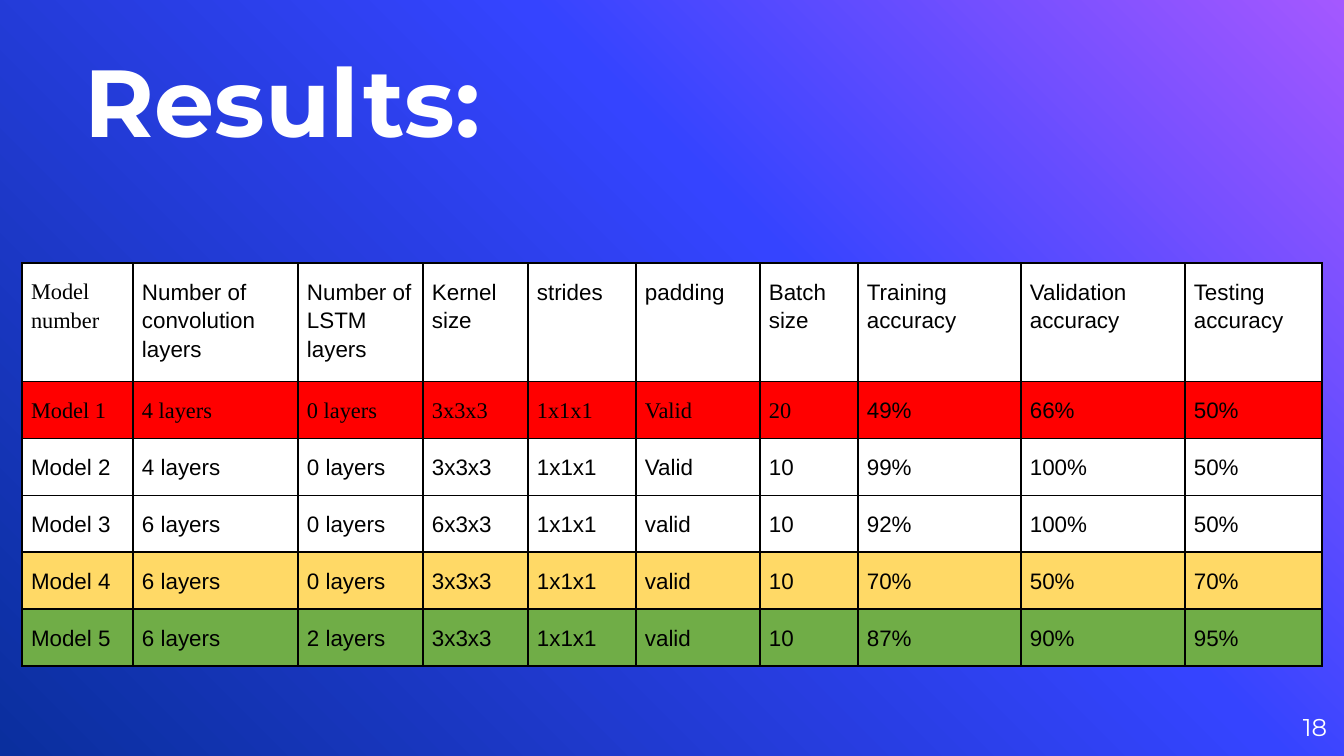
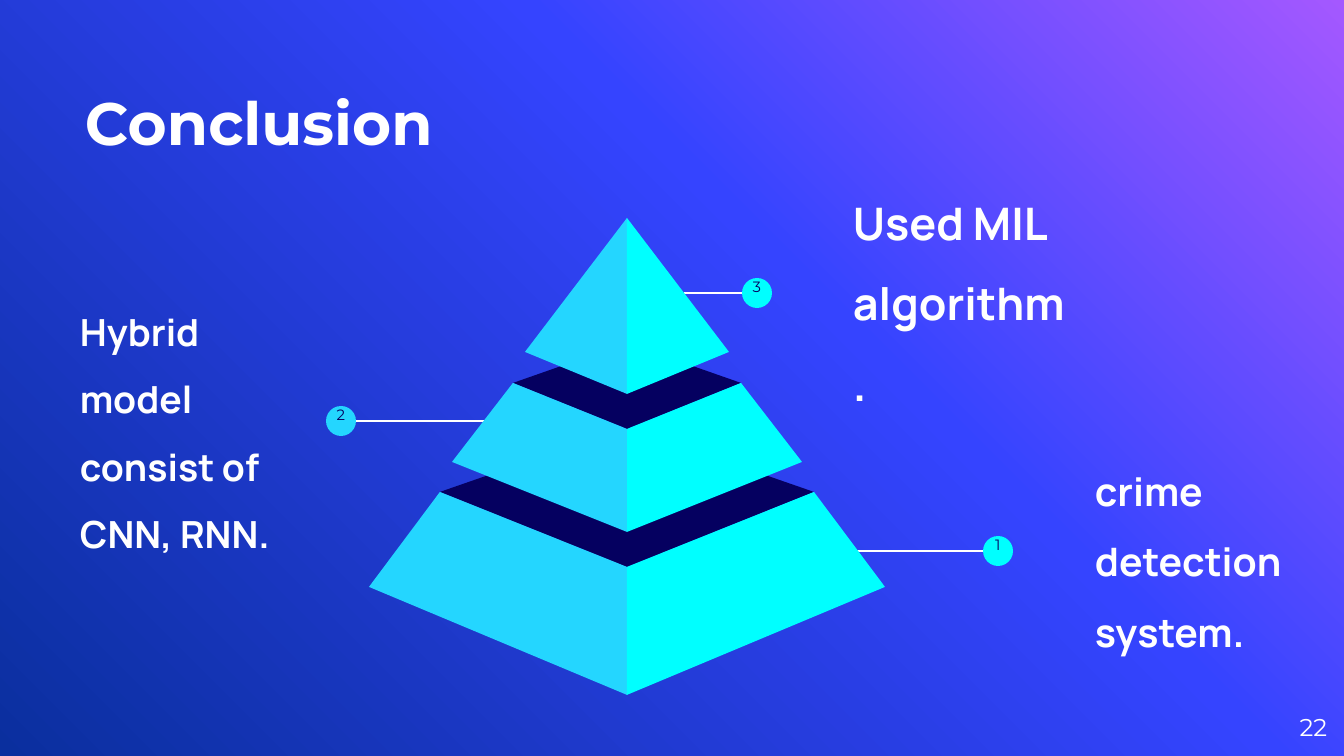
import copy

import lxml.etree
import pptx
import pptx.dml.color
import pptx.enum.shapes
import pptx.enum.text
import pptx.oxml.ns
import pptx.util

PX = 914400 / 134.4
WIDTH, HEIGHT = 1344, 756

WHITE, BLACK, NAVY = "FFFFFF", "000000", "050060"
SKY, CYAN = "24D6FF", "00FFFF"
RED, YELLOW, GREEN = "FF0000", "FFD966", "70AD47"
BACKDROP = [(0, "A458FF"), (0.39, "3544FF"), (1, "0A2F9E")]

HEADING, BODY, SANS, SERIF = "Montserrat", "Manrope", "Arial", "Times New Roman"
ALIGN = pptx.enum.text.PP_ALIGN
ANCHOR = pptx.enum.text.MSO_ANCHOR
SHAPE = pptx.enum.shapes.MSO_SHAPE
qn = pptx.oxml.ns.qn

DOT = 30

COLUMNS = [111, 165, 125, 105, 108, 124, 98, 163, 164, 137]
ROW_HEIGHTS = [105] + [54] * 5
HEADERS = ["Model number", "Number of convolution layers", "Number of LSTM layers",
           "Kernel size", "strides", "padding", "Batch size",
           "Training accuracy", "Validation accuracy", "Testing accuracy"]
# Fill, number of leading serif cells, cell texts
RESULTS = [
    (WHITE, 1, HEADERS),
    (RED, 7, ["Model 1", "4 layers", "0 layers", "3x3x3", "1x1x1", "Valid", "20",
              "49%", "66%", "50%"]),
    (WHITE, 0, ["Model 2", "4 layers", "0 layers", "3x3x3", "1x1x1", "Valid", "10",
                "99%", "100%", "50%"]),
    (WHITE, 0, ["Model 3", "6 layers", "0 layers", "6x3x3", "1x1x1", "valid", "10",
                "92%", "100%", "50%"]),
    (YELLOW, 0, ["Model 4", "6 layers", "0 layers", "3x3x3", "1x1x1", "valid", "10",
                 "70%", "50%", "70%"]),
    (GREEN, 0, ["Model 5", "6 layers", "2 layers", "3x3x3", "1x1x1", "valid", "10",
                "87%", "90%", "95%"]),
]

# Back corner of the lid, then the right face from the centre line outwards
TIERS = [
    (209, [(0, 349), (187, 274), (258, 369), (0, 477)]),
    (125, [(0, 211), (114, 165), (175, 244), (0, 314)]),
    (None, [(0, 0), (102, 134), (0, 176)]),
]


def px(n):
    return pptx.util.Emu(round(n * PX))


def rgb(color):
    return pptx.dml.color.RGBColor.from_string(color)


def paint(sp, color):
    sp.shadow.inherit = False
    sp.fill.solid()
    sp.fill.fore_color.rgb = rgb(color)
    sp.line.fill.background()


def set_margins(target, across, down):
    target.margin_left = target.margin_right = px(across)
    target.margin_top = target.margin_bottom = px(down)


def write(tf, text, size=12, font=HEADING, color=WHITE, bold=False, align=None,
          spacing=None, after=None, indent=0):
    p = tf.paragraphs[0]
    if indent:
        pPr = p._p.get_or_add_pPr()
        pPr.set("marL", str(px(indent)))
        pPr.set("indent", "0")
    p.alignment = align
    p.line_spacing = spacing
    if after:
        p.space_after = pptx.util.Pt(after)
    r = p.add_run()
    r.text = text
    r.font.size = pptx.util.Pt(size)
    r.font.name = font
    r.font.bold = bold
    r.font.color.rgb = rgb(color)


def add_text(s, x, y, w, h, text, anchor=ANCHOR.TOP, inset=0, **fmt):
    tf = s.shapes.add_textbox(px(x), px(y), px(w), px(h)).text_frame
    tf.word_wrap = True
    tf.vertical_anchor = anchor
    set_margins(tf, inset, inset)
    write(tf, text, **fmt)


def add_line(s, x1, x2, y):
    line = s.shapes.add_connector(pptx.enum.shapes.MSO_CONNECTOR.STRAIGHT,
                                  px(x1), px(y), px(x2), px(y))
    line.line.color.rgb = rgb(WHITE)
    line.line.width = pptx.util.Pt(0.75)
    lxml.etree.SubElement(line._element.spPr, qn("a:effectLst"))


def add_slide(prs, title, title_size, title_width, number):
    s = prs.slides.add_slide(prs.slide_layouts[6])
    # Diagonal three-colour background
    fill = s.background.fill
    fill.gradient()
    fill.gradient_angle = 225
    stop_list = s.element.find(".//" + qn("a:gsLst"))
    stop_list.append(copy.deepcopy(stop_list[-1]))
    for stop, (position, color) in zip(fill.gradient_stops, BACKDROP):
        stop.position = position
        stop.color.rgb = rgb(color)
    # Title and page number
    add_text(s, 85, 31, title_width, 126, title, anchor=ANCHOR.BOTTOM,
             size=title_size, bold=True)
    add_text(s, 1246, 698, 81, 58, number, anchor=ANCHOR.MIDDLE,
             size=13, align=ALIGN.RIGHT)
    return s


def add_borders(cell):
    tcPr = cell._tc.get_or_add_tcPr()
    for side in ("lnL", "lnR", "lnT", "lnB"):
        ln = lxml.etree.SubElement(tcPr, qn("a:" + side), w=str(pptx.util.Pt(1)))
        solid = lxml.etree.SubElement(ln, qn("a:solidFill"))
        lxml.etree.SubElement(solid, qn("a:srgbClr"), val=BLACK)


def add_results_table(s, x, y):
    table = s.shapes.add_table(len(RESULTS), len(COLUMNS), px(x), px(y),
                               px(sum(COLUMNS)), px(sum(ROW_HEIGHTS))).table
    table.first_row = table.horz_banding = False
    for column, width in zip(table.columns, COLUMNS):
        column.width = px(width)
    for row, height, (fill, serif_count, texts) in zip(table.rows, ROW_HEIGHTS, RESULTS):
        row.height = px(height)
        for i, (cell, text) in enumerate(zip(row.cells, texts)):
            add_borders(cell)
            cell.fill.solid()
            cell.fill.fore_color.rgb = rgb(fill)
            set_margins(cell, 9, 13)
            write(cell.text_frame, text, font=SERIF if i < serif_count else SANS,
                  color=BLACK, spacing=1.15)


def add_callout(s, x, y, w, number, text, size, dot_dx, dot_dy, reach, color):
    """Text, a numbered dot beside it, and a line to the pyramid at x = reach."""
    dot_x, dot_y = x + dot_dx, y + dot_dy
    far_edge = dot_x + DOT if reach < dot_x else dot_x
    add_line(s, reach, far_edge, dot_y + DOT / 2)
    add_text(s, x, y, w, 203, text, anchor=ANCHOR.MIDDLE, inset=13, size=size,
             font=BODY, bold=True, spacing=1.5, indent=67)
    paint(s.shapes.add_shape(SHAPE.OVAL, px(dot_x), px(dot_y), px(DOT), px(DOT)), color)
    add_text(s, dot_x - 3, dot_y - 9, DOT + 6, 46, number, inset=13, size=8,
             color=NAVY, align=ALIGN.CENTER, after=16)


def add_polygon(s, x, y, points, color):
    builder = s.shapes.build_freeform(*points[0], scale=PX)
    builder.add_line_segments(points[1:], close=True)
    paint(builder.convert_to_shape(px(x), px(y)), color)


def add_pyramid(s, center, top):
    for back, face in TIERS:
        mirrored = [(-x, y) for x, y in face]
        if back is not None:
            add_polygon(s, center, top, [face[0], face[1], (0, back), mirrored[1]], NAVY)
        add_polygon(s, center, top, mirrored, SKY)
        add_polygon(s, center, top, face, CYAN)


def results_slide(prs):
    s = add_slide(prs, "Results:", 51, 1175, "18")
    add_results_table(s, 22, 263)


def conclusion_slide(prs):
    s = add_slide(prs, "Conclusion", 32, 884, "22")
    add_callout(s, 773, 188, 316, "3", "Used MIL algorithm.", 24, -31, 90, 684, CYAN)
    add_callout(s, 0, 320, 323, "2", "Hybrid model consist of CNN, RNN.", 20,
                326, 86, 489, SKY)
    add_callout(s, 1015, 448, 316, "1", "crime detection system.", 21,
                -32, 88, 759, CYAN)
    add_pyramid(s, 627, 218)


def main():
    prs = pptx.Presentation()
    prs.slide_width, prs.slide_height = px(WIDTH), px(HEIGHT)
    results_slide(prs)
    conclusion_slide(prs)
    prs.save("out.pptx")


if __name__ == "__main__":
    main()
